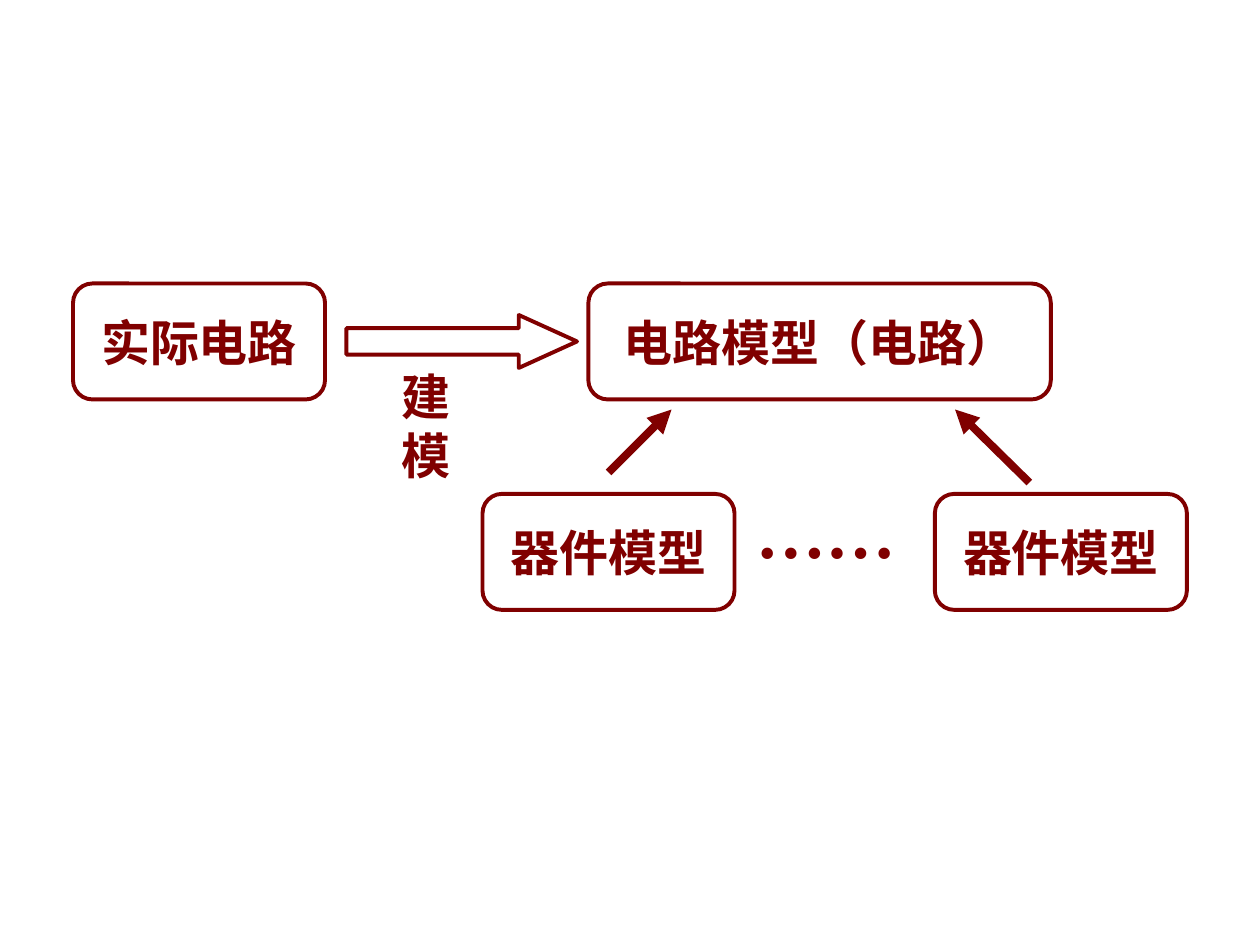
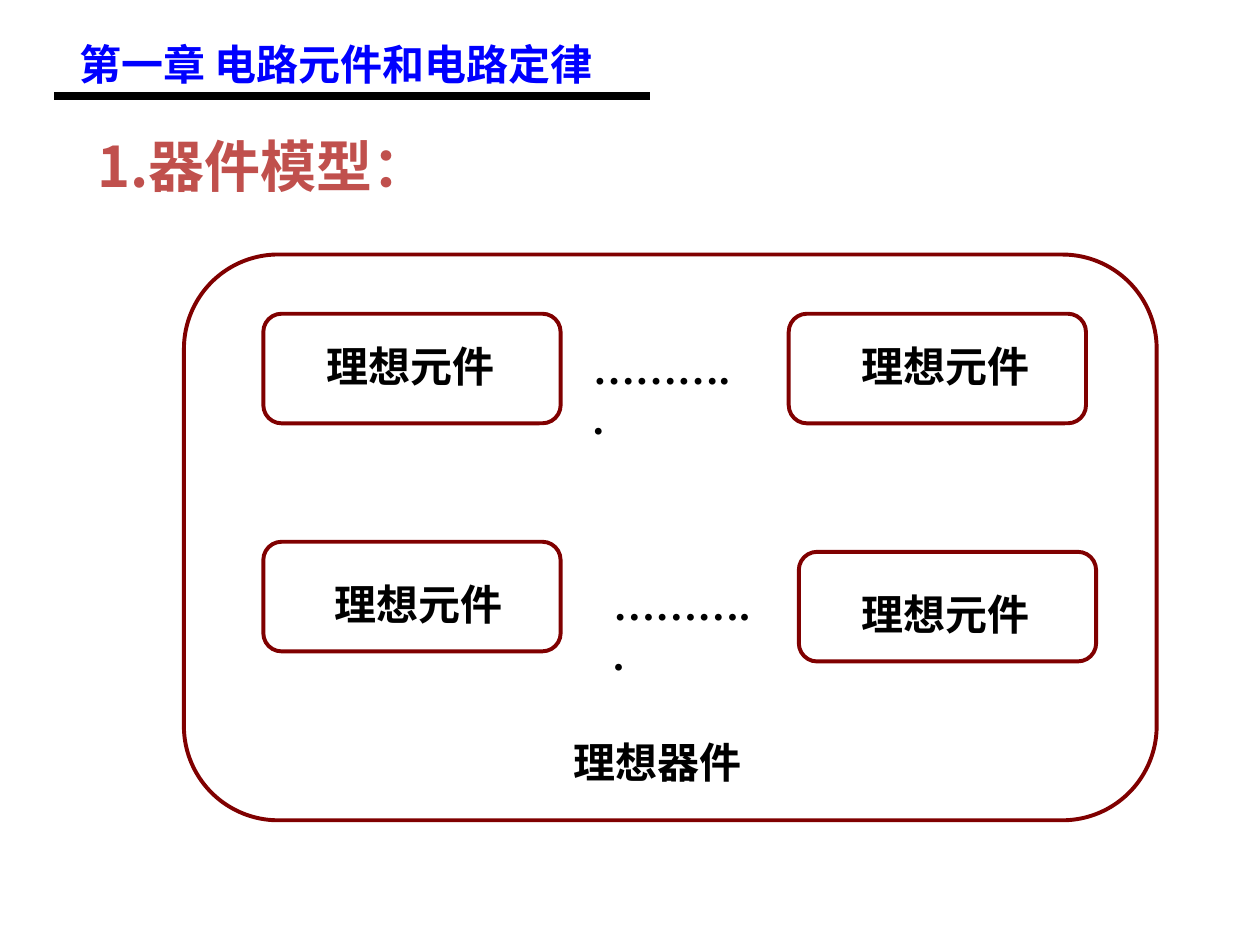
from pptx import Presentation
from pptx.dml.color import RGBColor
from pptx.enum.shapes import MSO_CONNECTOR, MSO_SHAPE
from pptx.enum.text import MSO_ANCHOR, MSO_AUTO_SIZE, PP_ALIGN
from pptx.oxml.ns import qn
from pptx.util import Inches, Pt
from lxml.etree import SubElement

MAROON, BLUE, RED, BLACK = "800000", "0000FF", "C0504D", "000000"
SERIF, SANS = "Times New Roman", "Noto Sans CJK SC"

MODEL_SIZE = (2, 0.92)
MODELS = [
    ("实际电路", (0.58, 2.25, *MODEL_SIZE)),
    ("电路模型（电路）", (4.67, 2.25, 3.67, 0.92)),
    ("器件模型", (3.83, 3.92, *MODEL_SIZE)),
    ("器件模型", (7.42, 3.92, *MODEL_SIZE)),
]
MODEL_ARROWS = [((4.83, 3.75), (5.33, 3.25)), ((8.17, 3.83), (7.58, 3.25))]

CHAPTER = "第一章 电路元件和电路定律"
HEADING = "1.器件模型："
DEVICE_FRAME = (1.46, 2.02, 7.72, 4.49)
ELEMENT_SIZE = (2.36, 0.87)
ELEMENT_CORNERS = [(2.09, 2.49), (6.26, 2.49), (2.09, 4.3), (6.34, 4.38)]
LABEL_SIZE = (1.53, 0.5)
ELEMENT_LABELS = [(2.49, 2.65), (6.74, 2.65), (2.56, 4.54), (6.74, 4.62)]
DOTS_SIZE = (1.36, 0.5)
ELEMENT_DOTS = [(4.61, 2.67), (4.77, 4.54)]


def color(value):
    return RGBColor.from_string(value)


def inches(values):
    return [Inches(value) for value in values]


def write(shape, text, size=24, font=SERIF, ink=BLACK, align=PP_ALIGN.LEFT,
          anchor=MSO_ANCHOR.TOP, wrap=False, grow=True):
    frame = shape.text_frame
    frame.word_wrap = wrap
    frame.vertical_anchor = anchor
    frame.auto_size = MSO_AUTO_SIZE.SHAPE_TO_FIT_TEXT if grow else MSO_AUTO_SIZE.NONE
    para = frame.paragraphs[0]
    para.alignment = align
    span = para.add_run()
    span.text = text
    span.font.size = Pt(size)
    span.font.bold = True
    span.font.color.rgb = color(ink)
    span.font.name = font
    SubElement(span.font._element, qn("a:ea")).set("typeface", SANS)


def add_label(page, text, place, **style):
    write(page.shapes.add_textbox(*inches(place)), text, **style)


def add_outline(page, kind, place):
    shape = page.shapes.add_shape(kind, *inches(place))
    shape.shadow.inherit = False
    shape.fill.background()
    shape.line.color.rgb = color(MAROON)
    shape.line.width = Pt(2.25)
    return shape


def add_line(page, start, end, ink, arrow=False):
    line = page.shapes.add_connector(MSO_CONNECTOR.STRAIGHT, *inches(start + end))
    line.line.color.rgb = color(ink)
    line.line.width = Pt(4.5)
    if arrow:
        SubElement(line.line._get_or_add_ln(), qn("a:tailEnd")).set("type", "triangle")
    SubElement(line._element.spPr, qn("a:effectLst"))


def build_modeling(deck):
    page = deck.slides.add_slide(deck.slide_layouts[6])
    for text, place in MODELS:
        box = add_outline(page, MSO_SHAPE.ROUNDED_RECTANGLE, place)
        write(box, text, size=28, ink=MAROON, align=PP_ALIGN.CENTER,
              anchor=MSO_ANCHOR.MIDDLE, grow=False)
    arrow = add_outline(page, MSO_SHAPE.RIGHT_ARROW, (2.75, 2.5, 1.83, 0.42))
    arrow.adjustments[1] = 1.1
    add_label(page, "建模", (3.09, 2.86, 0.97, 0.57), size=28, ink=MAROON)
    add_label(page, "……", (5.9, 3.83, 1.43, 0.77), size=40, ink=MAROON, wrap=True)
    for start, end in MODEL_ARROWS:
        add_line(page, start, end, MAROON, arrow=True)


def build_device(deck):
    page = deck.slides.add_slide(deck.slide_layouts[5])
    title = page.shapes.title
    title.left, title.top, title.width, title.height = inches((0.67, 0.99, 3.39, 0.64))
    write(title, HEADING, size=32, font=SANS, ink=RED, wrap=True)
    add_line(page, (0.43, 0.76), (5.16, 0.76), BLACK)
    add_label(page, CHAPTER, (0.53, 0.26, 4.36, 0.5), font=SANS, ink=BLUE)
    add_outline(page, MSO_SHAPE.FLOWCHART_ALTERNATE_PROCESS, DEVICE_FRAME)
    for corner in ELEMENT_CORNERS:
        add_outline(page, MSO_SHAPE.FLOWCHART_ALTERNATE_PROCESS, corner + ELEMENT_SIZE)
    for corner in ELEMENT_LABELS:
        add_label(page, "理想元件", corner + LABEL_SIZE)
    for corner in ELEMENT_DOTS:
        add_label(page, "………..", corner + DOTS_SIZE)
    add_label(page, "理想器件", (4.45, 5.8) + LABEL_SIZE)


def main():
    deck = Presentation()
    deck.slide_width, deck.slide_height = inches((10, 7.5))
    build_modeling(deck)
    build_device(deck)
    deck.save("out.pptx")


if __name__ == "__main__":
    main()
